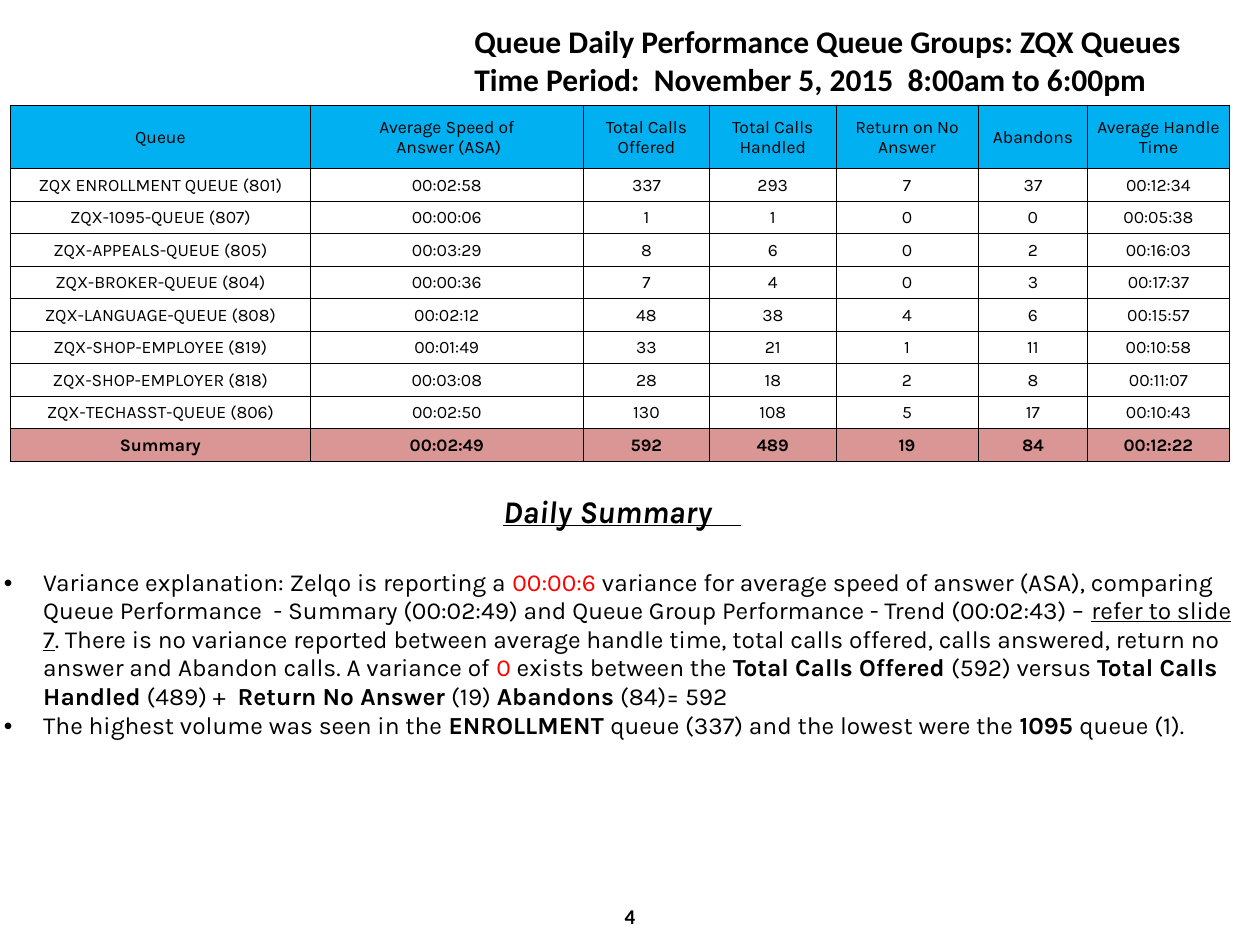
from lxml import etree
from pptx import Presentation
from pptx.dml.color import RGBColor
from pptx.enum.text import MSO_ANCHOR, MSO_AUTO_SIZE, PP_ALIGN
from pptx.oxml.ns import qn
from pptx.util import Pt

CENTER = PP_ALIGN.CENTER
LEFT = PP_ALIGN.LEFT
TOP = MSO_ANCHOR.TOP
MIDDLE = MSO_ANCHOR.MIDDLE
GROW = MSO_AUTO_SIZE.SHAPE_TO_FIT_TEXT

BLACK = RGBColor(0x00, 0x00, 0x00)
RED = RGBColor(0xFF, 0x00, 0x00)
HEADER_BLUE = RGBColor(0x00, 0xB0, 0xF0)
SUMMARY_PINK = RGBColor(0xD9, 0x96, 0x94)

TITLE_FONT = "Calibri"
BODY_FONT = "Karla"
BOLD = {"bold": True}
HEADING = {"bold": True, "underline": True}

COLUMN_WIDTHS = [171.4, 156, 72.2, 72.2, 81.2, 62.8, 80.6]
HEADER_HEIGHT = 36
ROW_HEIGHT = 18.6
QUEUE_ROWS = [
    ["Queue", "Average Speed of\n Answer (ASA)", "Total Calls Offered", "Total Calls Handled",
     "Return on No Answer", "Abandons", "Average Handle Time"],
    ["ZQX ENROLLMENT QUEUE (801)", "00:02:58", "337", "293", "7", "37", "00:12:34"],
    ["ZQX-1095-QUEUE (807)", "00:00:06", "1", "1", "0", "0", "00:05:38"],
    ["ZQX-APPEALS-QUEUE (805)", "00:03:29", "8", "6", "0", "2", "00:16:03"],
    ["ZQX-BROKER-QUEUE (804)", "00:00:36", "7", "4", "0", "3", "00:17:37"],
    ["ZQX-LANGUAGE-QUEUE (808)", "00:02:12", "48", "38", "4", "6", "00:15:57"],
    ["ZQX-SHOP-EMPLOYEE (819)", "00:01:49", "33", "21", "1", "11", "00:10:58"],
    ["ZQX-SHOP-EMPLOYER (818)", "00:03:08", "28", "18", "2", "8", "00:11:07"],
    ["ZQX-TECHASST-QUEUE (806)", "00:02:50", "130", "108", "5", "17", "00:10:43"],
    ["Summary", "00:02:49", "592", "489", "19", "84", "00:12:22"],
]

DAILY_HEADING = [
    ("Daily", {**HEADING, "italic": True}),
    (" ", HEADING),
    ("Summary   ", {**HEADING, "italic": True}),
    (" ", HEADING),
]
DAILY_NOTES = [
    [
        ("Variance explanation: Zelqo is reporting a ", {}),
        ("00:00:6", {"color": RED}),
        (" variance for average speed of answer (ASA), comparing Queue Performance  - Summary "
         "(00:02:49) and Queue Group Performance - Trend (00:02:43) – ", {}),
        ("refer to slide 7", {"underline": True}),
        (". There is no variance reported between average handle time, total calls offered, "
         "calls answered, return no answer and Abandon calls. A variance of ", {}),
        ("0 ", {"color": RED}),
        ("exists between the ", {}),
        ("Total Calls Offered ", BOLD),
        ("(592) versus ", {}),
        ("Total Calls Handled", BOLD),
        (" (489) +  ", {}),
        ("Return No Answer", BOLD),
        (" (19) ", {}),
        ("Abandons", BOLD),
        (" (84)= 592", {}),
    ],
    [
        ("The highest volume was seen in the ", {}),
        ("ENROLLMENT ", BOLD),
        ("queue (337) and the lowest were the ", {}),
        ("1095 ", BOLD),
        ("queue (1).", {}),
    ],
]


def style_span(span, name, size, color=BLACK, bold=False, italic=False, underline=False):
    font = span.font
    font.name, font.size = name, Pt(size)
    font.bold, font.italic, font.underline = bold, italic, underline
    font.color.rgb = color


def style_paragraphs(frame, name, size, align, bold=False):
    for para in frame.paragraphs:
        para.alignment = align
        for span in para.runs:
            style_span(span, name, size, bold=bold)


def add_label(page, text, left, top, width, height, size, align=LEFT, anchor=TOP):
    box = page.shapes.add_textbox(Pt(left), Pt(top), Pt(width), Pt(height))
    frame = box.text_frame
    frame.word_wrap = True
    frame.vertical_anchor = anchor
    frame.text = text
    style_paragraphs(frame, TITLE_FONT, size, align, bold=True)
    return box


def add_plain_table(page, left, top, widths, heights):
    frame = page.shapes.add_table(len(heights), len(widths), Pt(left), Pt(top),
                                  Pt(sum(widths)), Pt(sum(heights)))
    table = frame.table
    table.first_row = table.horz_banding = False
    for column, width in zip(table.columns, widths):
        column.width = Pt(width)
    for row, height in zip(table.rows, heights):
        row.height = Pt(height)
    for cell in table.iter_cells():
        cell.margin_left = cell.margin_right = cell.margin_top = Pt(0.7)
        cell.margin_bottom = Pt(0)
    return table


def add_borders(cell, color, width):
    properties = cell._tc.get_or_add_tcPr()
    for side in ("a:lnL", "a:lnR", "a:lnT", "a:lnB"):
        line = etree.SubElement(properties, qn(side), w=str(Pt(width)))
        fill = etree.SubElement(line, qn("a:solidFill"))
        etree.SubElement(fill, qn("a:srgbClr"), val=str(color))


def fill_cell(cell, color):
    if color is None:
        cell.fill.background()
    else:
        cell.fill.solid()
        cell.fill.fore_color.rgb = color


def add_queue_table(page):
    last = len(QUEUE_ROWS) - 1
    fills = {0: HEADER_BLUE, last: SUMMARY_PINK}
    table = add_plain_table(page, 5.9, 60.3, COLUMN_WIDTHS, [HEADER_HEIGHT] + [ROW_HEIGHT] * last)
    for r, values in enumerate(QUEUE_ROWS):
        for c, value in enumerate(values):
            cell = table.cell(r, c)
            cell.vertical_anchor = MIDDLE
            cell.text_frame.text = value
            style_paragraphs(cell.text_frame, BODY_FONT, 10, CENTER, bold=r == last)
            add_borders(cell, BLACK, 0.5)
            fill_cell(cell, fills.get(r))


def add_spans(para, spans, size):
    for text, style in spans:
        span = para.add_run()
        span.text = text
        style_span(span, BODY_FONT, size, **style)


def add_bullet(para, indent):
    properties = para._p.get_or_add_pPr()
    properties.set("marL", str(Pt(indent)))
    properties.set("indent", str(-Pt(indent)))
    etree.SubElement(properties, qn("a:buFont"), typeface="Arial")
    etree.SubElement(properties, qn("a:buChar"), char="•")


def add_daily_summary(page):
    table = add_plain_table(page, 1.5, 282.2, [354, 354], [206, 12.5])
    for cell in table.iter_cells():
        fill_cell(cell, None)
    notes = table.cell(0, 0)
    notes.merge(table.cell(0, 1))
    heading = notes.text_frame.paragraphs[0]
    heading.alignment = CENTER
    heading.space_after = Pt(21)
    add_spans(heading, DAILY_HEADING, 18)
    for spans in DAILY_NOTES:
        para = notes.text_frame.add_paragraph()
        para.alignment = LEFT
        add_bullet(para, 22.5)
        add_spans(para, spans, 14)


def main():
    deck = Presentation()
    deck.slide_width, deck.slide_height = Pt(720), Pt(540)
    page = deck.slides.add_slide(deck.slide_layouts[6])
    title = add_label(page, "Queue Daily Performance Queue Groups: ZQX Queues\n"
                      "Time Period:  November 5, 2015  8:00am to 6:00pm", 264, 9.3, 438, 51, 18)
    title.text_frame.auto_size = GROW
    add_label(page, "4", 246, 509, 228, 29, 12, CENTER, MIDDLE)
    add_daily_summary(page)
    add_queue_table(page)
    deck.save("out.pptx")


if __name__ == "__main__":
    main()
